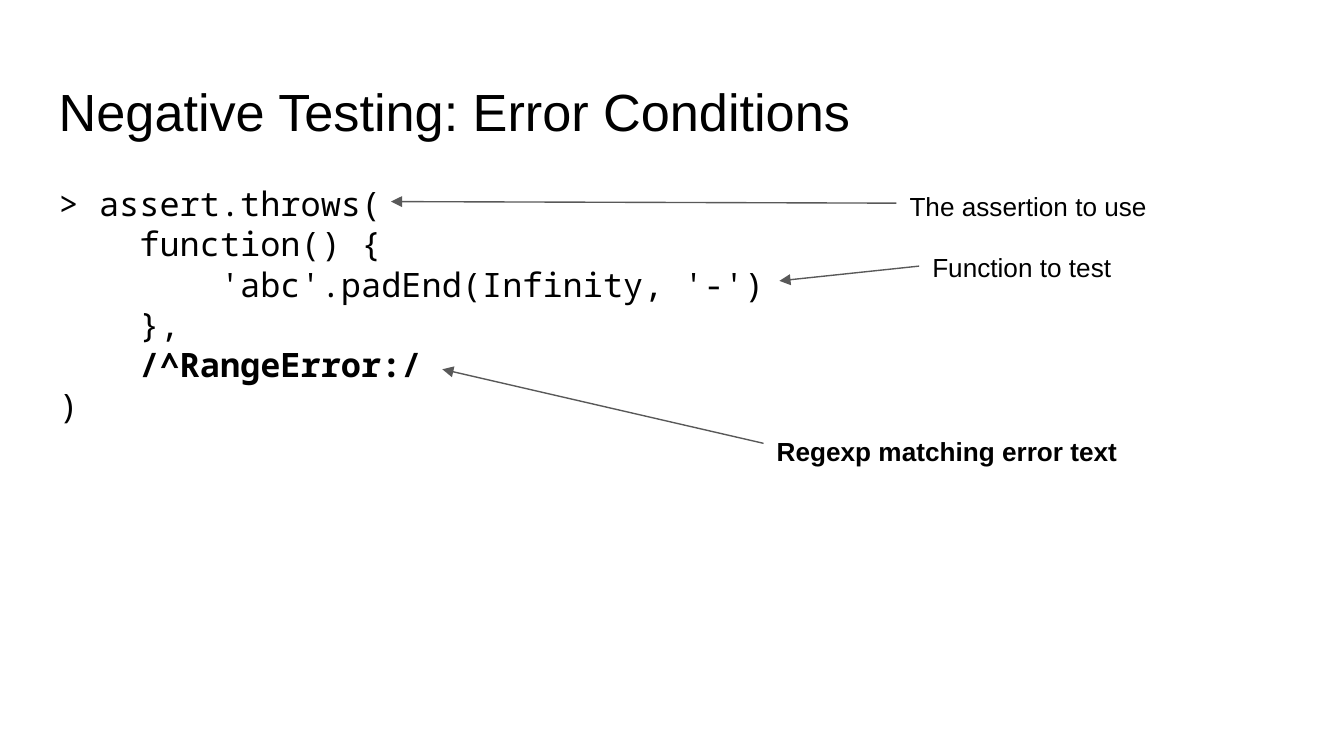
from lxml import etree
from pptx import Presentation
from pptx.dml.color import RGBColor
from pptx.enum.shapes import MSO_CONNECTOR
from pptx.enum.text import MSO_ANCHOR, MSO_AUTO_SIZE, PP_ALIGN
from pptx.oxml.ns import qn
from pptx.util import Cm, Pt

BLACK = RGBColor(0x00, 0x00, 0x00)
WHITE = RGBColor(0xFF, 0xFF, 0xFF)
GRAY = RGBColor(0x59, 0x59, 0x59)
STRAIGHT = MSO_CONNECTOR.STRAIGHT
TOP = MSO_ANCHOR.TOP
NO_FIT = MSO_AUTO_SIZE.NONE
LEFT = PP_ALIGN.LEFT

TITLE = {"name": "Arial", "size": Pt(28), "bold": False}
CODE = {"name": "Noto Sans Mono", "size": Pt(18), "bold": False}
LABEL = {"name": "Arial", "size": Pt(14), "bold": False}
FRAME = {
    "word_wrap": True, "auto_size": NO_FIT, "vertical_anchor": TOP,
    "margin_left": Cm(0.25), "margin_right": Cm(0.25),
    "margin_top": Cm(0.25), "margin_bottom": Cm(0.25),
}

CODE_LINES = [
    ("> assert.throws(", False),
    ("    function() {", False),
    ("        'abc'.padEnd(Infinity, '-')", False),
    ("    },", False),
    ("    /^RangeError:/", True),
    (")", False),
]
LABELS = [
    ("Function to test", False, (17.37, 4.5, 4.39, 1.09)),
    ("Regexp matching error text", True, (14.43, 7.98, 7.47, 0.86)),
    ("The assertion to use", False, (16.94, 3.35, 5.66, 0.94)),
]
ARROWS = [
    ((14.43, 8.38), (8.36, 6.98)),
    ((17.37, 5.03), (14.73, 5.31)),
    ((16.94, 3.84), (7.39, 3.81)),
]


class Deck:
    """Holds the shared style and the current slide."""

    def __init__(self, prs):
        self.s = prs.slides.add_slide(prs.slide_layouts[1])
        fill = self.s.background.fill
        fill.solid()
        fill.fore_color.rgb = WHITE

    def text(self, sp, lines, style, spacing=1.0):
        tf = sp.text_frame
        for key, value in FRAME.items():
            setattr(tf, key, value)
        for i, (line, bold) in enumerate(lines):
            p = tf.paragraphs[0] if i == 0 else tf.add_paragraph()
            p.alignment = LEFT
            p.line_spacing = spacing
            p.space_before = p.space_after = Pt(0)
            r = p.add_run()
            r.text = line
            for key, value in {**style, "bold": bold}.items():
                setattr(r.font, key, value)
            r.font.color.rgb = BLACK

    def place(self, sp, box):
        for key, value in zip(("left", "top", "width", "height"), box):
            setattr(sp, key, Cm(value))

    def title(self, text, box):
        sp = self.s.shapes.title
        self.place(sp, box)
        self.text(sp, [(text, False)], TITLE)

    def code(self, lines, box):
        sp = self.s.placeholders[1]
        self.place(sp, box)
        self.text(sp, lines, CODE, Pt(21.65))
        for p in sp.text_frame.paragraphs:
            pPr = p._p.get_or_add_pPr()
            pPr.set("marL", "0")
            pPr.set("indent", "0")
            etree.SubElement(pPr, qn("a:buNone"))

    def label(self, text, bold, box):
        sp = self.s.shapes.add_textbox(*map(Cm, box))
        self.text(sp, [(text, bold)], LABEL)

    def arrow(self, start, end):
        sp = self.s.shapes.add_connector(STRAIGHT, *map(Cm, start + end))
        sp.line.color.rgb = GRAY
        sp.line.width = Pt(0.75)
        spPr = sp._element.spPr
        etree.SubElement(spPr.find(qn("a:ln")), qn("a:tailEnd"), type="triangle")
        etree.SubElement(spPr, qn("a:effectLst"))


def main():
    prs = Presentation()
    prs.slide_width, prs.slide_height = Cm(25.4), Cm(14.29)
    deck = Deck(prs)
    deck.title("Negative Testing: Error Conditions", (0.86, 1.24, 23.67, 1.6))
    deck.code(CODE_LINES, (0.86, 3.2, 23.67, 9.5))
    for arrow in ARROWS:
        deck.arrow(*arrow)
    for label in LABELS:
        deck.label(*label)
    prs.save("out.pptx")


if __name__ == "__main__":
    main()
